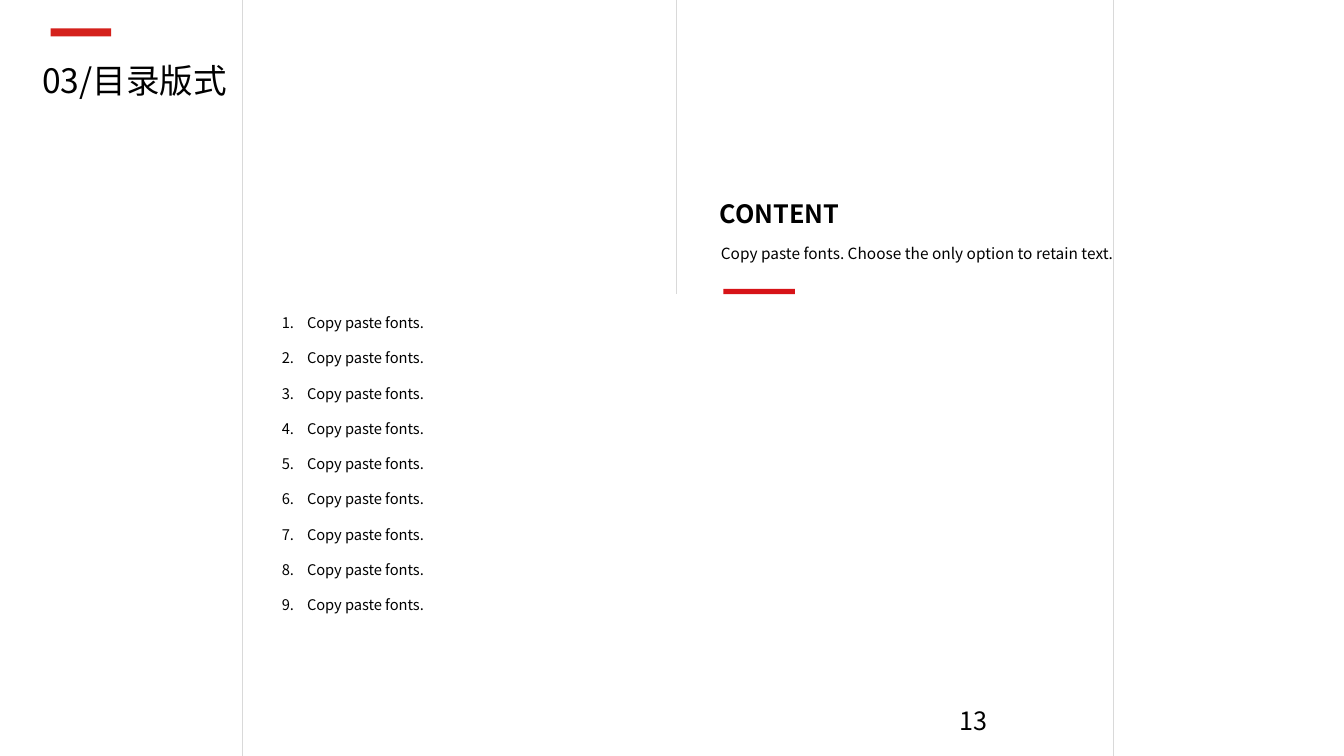
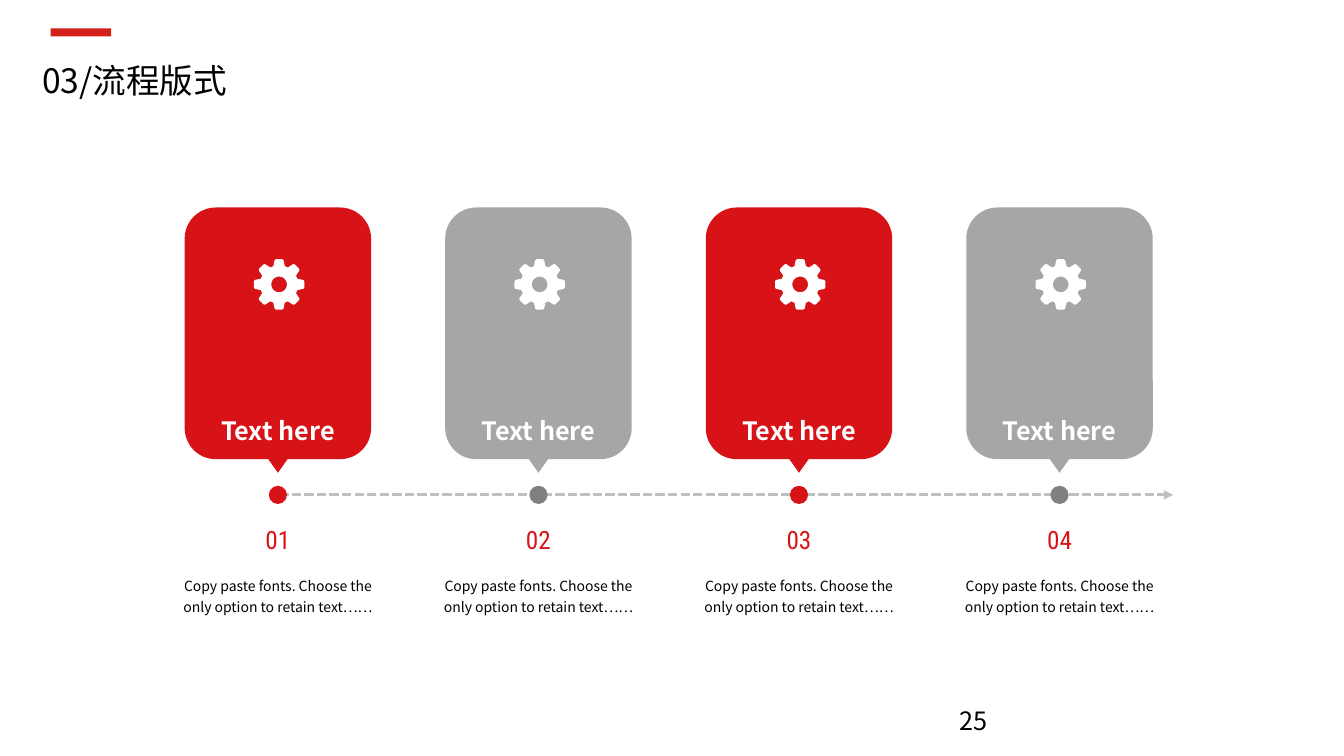
"""Build a contents slide and a four-step process slide in one shared style."""
import math

import pptx
import pptx.dml.color
import pptx.enum.dml
import pptx.enum.shapes
import pptx.enum.text
import pptx.oxml.ns
import pptx.util
from lxml import etree

Pt = pptx.util.Pt
RGBColor = pptx.dml.color.RGBColor
SHAPE = pptx.enum.shapes.MSO_SHAPE
ALIGN = pptx.enum.text.PP_ALIGN
ANCHOR = pptx.enum.text.MSO_ANCHOR
qn = pptx.oxml.ns.qn

BLACK = RGBColor(0x00, 0x00, 0x00)
WHITE = RGBColor(0xFF, 0xFF, 0xFF)
RED = RGBColor(0xD7, 0x13, 0x18)
TITLE_RED = RGBColor(0xD4, 0x21, 0x1C)
CARD_GRAY = RGBColor(0xA6, 0xA6, 0xA6)
DOT_GRAY = RGBColor(0x80, 0x80, 0x80)
ARROW_GRAY = RGBColor(0xBF, 0xBF, 0xBF)
RULE_GRAY = RGBColor(0xD9, 0xD9, 0xD9)
MAIN_FONT = "Noto Sans CJK SC"
NUMBER_FONT = "Roboto Condensed"

CONTENTS = {
    "title": "03/目录版式",
    "page": "13",
    "heading": "CONTENT",
    "summary": "Copy paste fonts. Choose the only option to retain text.",
    "items": ["Copy paste fonts."] * 9,
}
STEP_TEXT = "Copy paste fonts. Choose the only option to retain text……"
PROCESS = {
    "title": "03/流程版式",
    "page": "25",
    "steps": [
        ("01", "Text here", STEP_TEXT, RED, RED),
        ("02", "Text here", STEP_TEXT, CARD_GRAY, DOT_GRAY),
        ("03", "Text here", STEP_TEXT, RED, RED),
        ("04", "Text here", STEP_TEXT, CARD_GRAY, DOT_GRAY),
    ],
}

SLIDE_WIDTH, SLIDE_HEIGHT = 960, 540
RULES = [(172.8, SLIDE_HEIGHT), (795.6, SLIDE_HEIGHT), (483.1, 210.2)]
FIRST_CENTER, STEP_PITCH = 198.5, 186.1
TIMELINE_Y, TIMELINE_END = 353.5, 838
TOOTH = [(-4.1, -13), (-3.2, -17.3), (-2.2, -18), (2.2, -18), (3.2, -17.3), (4.1, -13)]
TOOTH_COUNT, HUB_RADIUS, HUB_POINTS = 8, 5.6, 36


def place(shape, left, top, width, height):
    shape.left, shape.top = Pt(left), Pt(top)
    shape.width, shape.height = Pt(width), Pt(height)


def style_paragraph(paragraph, size, color=BLACK, name=MAIN_FONT, bold=False,
                    align=ALIGN.LEFT, spacing=1.0):
    paragraph.alignment = align
    paragraph.line_spacing = spacing
    paragraph.space_before = Pt(0)
    font = paragraph.font
    font.size, font.name, font.bold = Pt(size), name, bold
    font.color.rgb = color
    properties = paragraph._p.pPr.find(qn("a:defRPr"))
    etree.SubElement(properties, qn("a:ea"), typeface=name)


def add_text(slide, text, box, size, anchor=ANCHOR.TOP, tight=False, **style):
    shape = slide.shapes.add_textbox(*map(Pt, box))
    frame = shape.text_frame
    frame.word_wrap = not tight
    frame.vertical_anchor = anchor
    if tight:
        frame.margin_left = frame.margin_right = Pt(0)
        frame.margin_top = frame.margin_bottom = Pt(0)
    frame.text = text
    style_paragraph(frame.paragraphs[0], size, **style)


def fill_plain(shape, color):
    shape.shadow.inherit = False
    shape.fill.solid()
    shape.fill.fore_color.rgb = color
    shape.line.fill.background()


def add_block(slide, kind, box, color):
    shape = slide.shapes.add_shape(kind, *map(Pt, box))
    fill_plain(shape, color)
    return shape


def add_line(slide, start, end, color, width):
    line = slide.shapes.add_connector(
        pptx.enum.shapes.MSO_CONNECTOR.STRAIGHT, *map(Pt, (*start, *end)))
    line.line.color.rgb = color
    line.line.width = Pt(width)
    etree.SubElement(line._element.spPr, qn("a:effectLst"))
    return line


def add_gear(slide, center_x, center_y):
    outline = []
    for tooth in range(TOOTH_COUNT):
        angle = math.tau * tooth / TOOTH_COUNT
        cosine, sine = math.cos(angle), math.sin(angle)
        outline += [(Pt(center_x + x * cosine - y * sine),
                     Pt(center_y + x * sine + y * cosine)) for x, y in TOOTH]
    hub = []
    for step in range(HUB_POINTS):
        angle = -math.tau * step / HUB_POINTS
        hub.append((Pt(center_x + HUB_RADIUS * math.cos(angle)),
                    Pt(center_y + HUB_RADIUS * math.sin(angle))))
    builder = slide.shapes.build_freeform(*outline[0])
    builder.add_line_segments(outline[1:], close=True)
    builder.move_to(*hub[0])
    builder.add_line_segments(hub[1:], close=True)
    fill_plain(builder.convert_to_shape(), WHITE)


def start_slide(presentation, layout_index, content):
    slide = presentation.slides.add_slide(presentation.slide_layouts[layout_index])
    title = slide.shapes.title
    place(title, 23, 33.1, 913, 48.2)
    title.text_frame.text = content["title"]
    title.text_frame.vertical_anchor = ANCHOR.TOP
    title.text_frame.auto_size = pptx.enum.text.MSO_AUTO_SIZE.NONE
    style_paragraph(title.text_frame.paragraphs[0], 24, spacing=1.2)
    add_block(slide, SHAPE.RECTANGLE, (36.2, 20.2, 43.2, 5.8), TITLE_RED)
    add_text(slide, content["page"], (678, 500.4, 216, 28.8), 18)
    return slide


def build_contents(presentation):
    slide = start_slide(presentation, 1, CONTENTS)
    for x, bottom in RULES:
        add_line(slide, (x, 0), (x, bottom), RULE_GRAY, 0.5)
    body = slide.placeholders[1]
    place(body, 194.1, 208.1, 163.4, 262.8)
    frame = body.text_frame
    frame.auto_size = pptx.enum.text.MSO_AUTO_SIZE.NONE
    frame.text = "\n".join(CONTENTS["items"])
    for paragraph in frame.paragraphs:
        properties = paragraph._p.get_or_add_pPr()
        properties.set("marL", str(Pt(18)))
        properties.set("indent", str(Pt(-18)))
        etree.SubElement(properties, qn("a:buFont"), typeface="+mj-lt")
        etree.SubElement(properties, qn("a:buAutoNum"), type="arabicPeriod")
        style_paragraph(paragraph, 10.5, spacing=2.0)
    add_text(slide, CONTENTS["heading"], (506.9, 138.2, 163.4, 28.8), 18,
             ANCHOR.MIDDLE, bold=True)
    add_text(slide, CONTENTS["summary"], (507.8, 167, 324.7, 25.9), 11,
             ANCHOR.MIDDLE, spacing=1.2)
    add_block(slide, SHAPE.RECTANGLE, (516.7, 206.4, 51.1, 3.7), RED)


def build_process(presentation):
    slide = start_slide(presentation, 5, PROCESS)
    timeline = add_line(slide, (FIRST_CENTER + 1, TIMELINE_Y),
                        (TIMELINE_END, TIMELINE_Y), ARROW_GRAY, 2.25)
    timeline.line.dash_style = pptx.enum.dml.MSO_LINE.SQUARE_DOT
    line_properties = timeline.line._get_or_add_ln()
    line_properties.find(qn("a:prstDash")).set("val", "sysDash")
    etree.SubElement(line_properties, qn("a:tailEnd"), type="triangle")
    for index, (number, label, text, card_color, dot_color) in enumerate(PROCESS["steps"]):
        center = FIRST_CENTER + index * STEP_PITCH
        card = add_block(slide, SHAPE.ROUNDED_RECTANGLE,
                         (center - 66.6, 148.2, 133.2, 179.8), card_color)
        card.text_frame.word_wrap = True
        card.text_frame.vertical_anchor = ANCHOR.BOTTOM
        card.text_frame.text = label
        style_paragraph(card.text_frame.paragraphs[0], 18, WHITE, bold=True,
                        align=ALIGN.CENTER, spacing=1.2)
        pointer = add_block(slide, SHAPE.ISOSCELES_TRIANGLE,
                            (center - 9.7, 324, 19.4, 13.7), card_color)
        pointer.rotation = 180
        add_gear(slide, center + 0.9, 203.2)
        add_block(slide, SHAPE.OVAL, (center - 6.5, TIMELINE_Y - 6.5, 13, 13), dot_color)
        add_text(slide, number, (center - 10.5, 373, 21, 24.5), 18, ANCHOR.MIDDLE,
                 tight=True, color=RED, name=NUMBER_FONT, align=ALIGN.CENTER)
        add_text(slide, text, (center - 83.2, 396, 166.4, 57.6), 10, ANCHOR.MIDDLE,
                 align=ALIGN.CENTER, spacing=1.2)


def main():
    presentation = pptx.Presentation()
    presentation.slide_width = Pt(SLIDE_WIDTH)
    presentation.slide_height = Pt(SLIDE_HEIGHT)
    build_contents(presentation)
    build_process(presentation)
    presentation.save("out.pptx")


if __name__ == "__main__":
    main()
